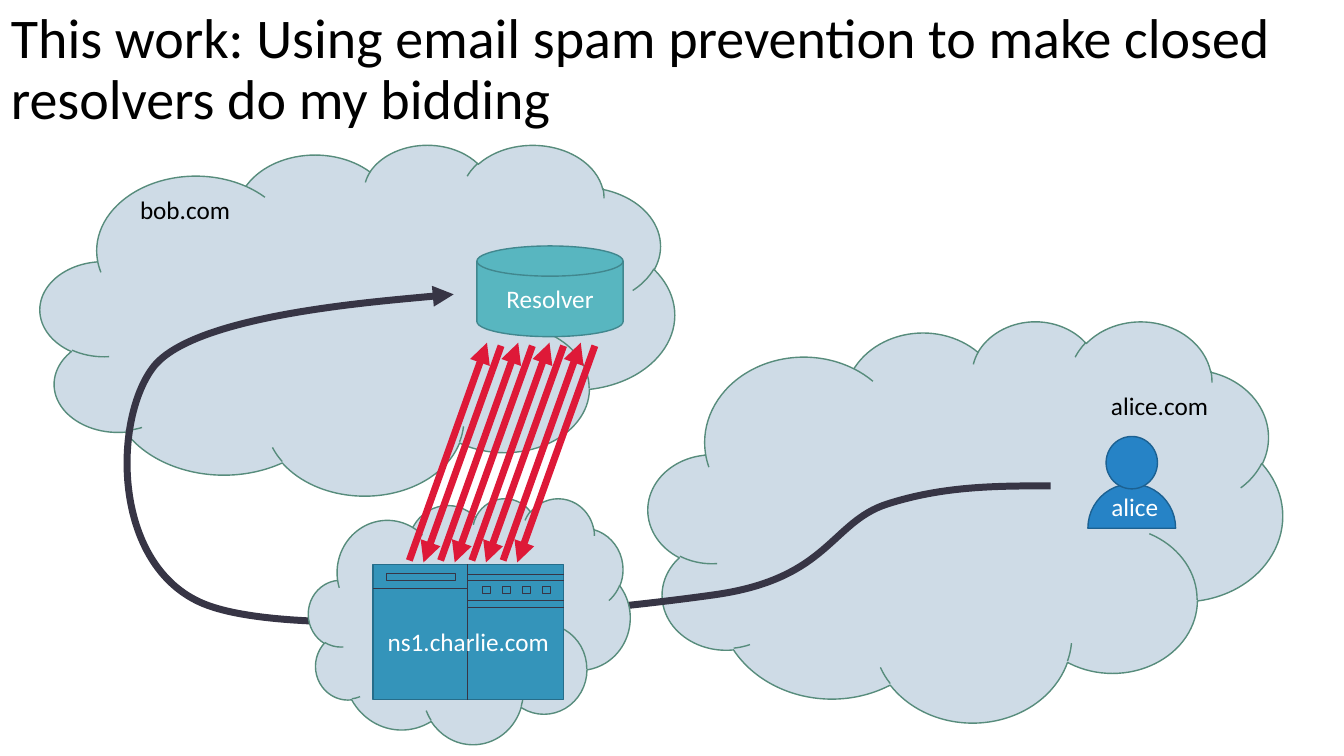
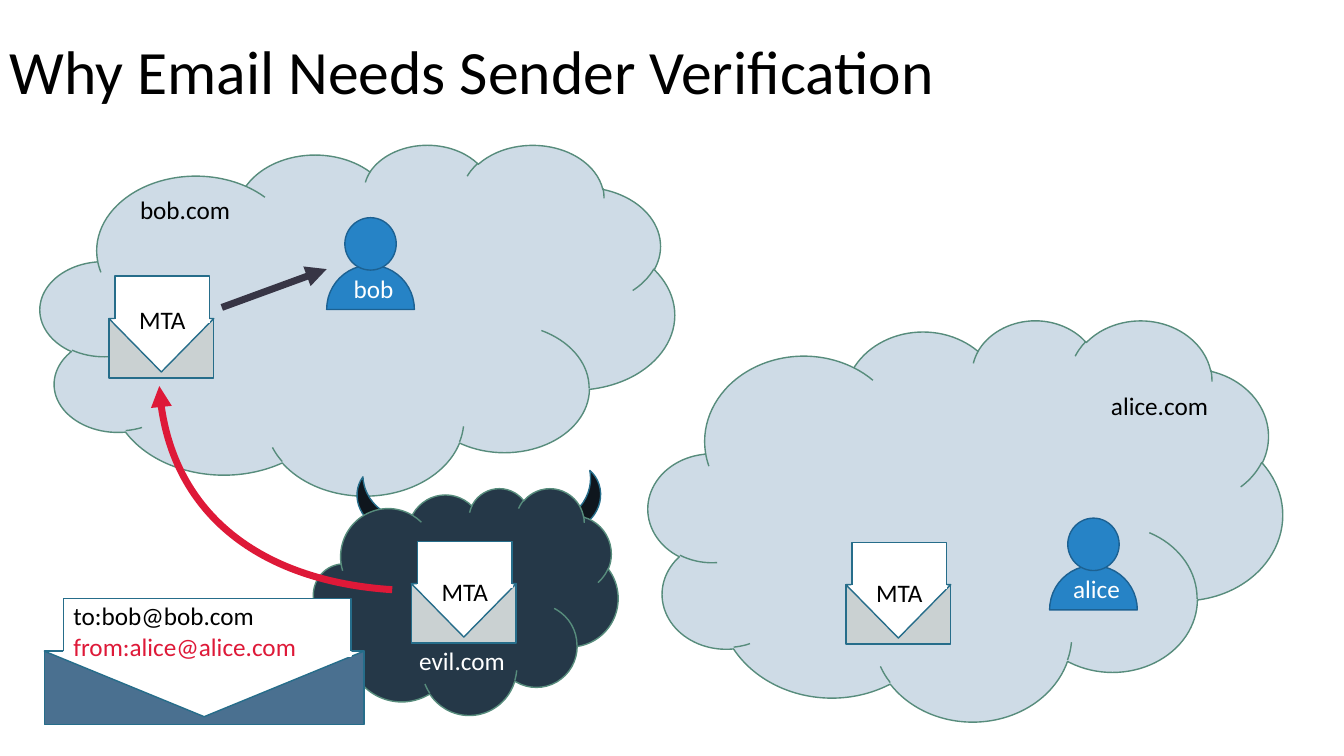
from itertools import cycle

from lxml.etree import SubElement
from pptx import Presentation
from pptx.dml.color import RGBColor
from pptx.enum.shapes import MSO_CONNECTOR, MSO_SHAPE
from pptx.enum.text import MSO_ANCHOR, PP_ALIGN
from pptx.oxml.ns import qn
from pptx.util import Emu, Pt

PX = 9144
FONT = "Calibri"
COLORS = {
    "black": "000000",
    "white": "FFFFFF",
    "cloud": "CEDBE6",
    "cloud_edge": "578C7C",
    "evil": "253848",
    "horn": "0F161D",
    "edge": "266D8A",
    "person": "2683C6",
    "person_edge": "1C6192",
    "resolver": "58B6C0",
    "resolver_edge": "41878E",
    "server": "3494BA",
    "ink": "373545",
    "attack": "DE1938",
    "mail": "CAD1D2",
    "forged": "4A7090",
}


def rgb(name):
    return RGBColor.from_string(COLORS[name])


def px(*lengths):
    return [Emu(round(length) * PX) for length in lengths]


def write(frame, text, size=18, colors=("black",), align=PP_ALIGN.LEFT,
          anchor=MSO_ANCHOR.TOP, wrap=True, spacing=None):
    frame.word_wrap = wrap
    frame.vertical_anchor = anchor
    for number, (words, color) in enumerate(zip(text.split("\n"), cycle(colors))):
        paragraph = frame.add_paragraph() if number else frame.paragraphs[0]
        paragraph.alignment = align
        if spacing:
            paragraph.line_spacing = spacing
        run = paragraph.add_run()
        run.text = words
        run.font.name = FONT
        run.font.size = Pt(size)
        run.font.color.rgb = rgb(color)


class Deck:
    def __init__(self):
        self.presentation = Presentation()
        self.presentation.slide_width, self.presentation.slide_height = px(1333, 750)

    def new_slide(self):
        self.slide = self.presentation.slides.add_slide(
            self.presentation.slide_layouts[6])
        self.ungroup()

    def group(self):
        self.shapes = self.slide.shapes.add_group_shape().shapes

    def ungroup(self):
        self.shapes = self.slide.shapes

    def text(self, x, y, w, h, words, **style):
        write(self.shapes.add_textbox(*px(x, y, w, h)).text_frame, words, **style)

    def title(self, x, y, w, words, size):
        self.text(x, y, w, 145, words, size=size, anchor=MSO_ANCHOR.MIDDLE, spacing=0.9)

    def stroke(self, shape, color, width, arrow=False):
        shape.line.color.rgb = rgb(color)
        shape.line.width = Pt(width)
        if arrow:
            SubElement(shape.element.spPr.find(qn("a:ln")), qn("a:tailEnd"), type="triangle")

    def shape(self, kind, x, y, w, h, fill, edge, width=1, turn=0):
        figure = self.shapes.add_shape(kind, *px(x, y, w, h))
        figure.shadow.inherit = False
        figure.rotation = turn
        figure.fill.solid()
        figure.fill.fore_color.rgb = rgb(fill)
        self.stroke(figure, edge, width)
        return figure

    def line(self, start, end, color="ink", width=0.5, arrow=False):
        connector = self.shapes.add_connector(MSO_CONNECTOR.STRAIGHT, *px(*start, *end))
        self.stroke(connector, color, width, arrow)
        SubElement(connector.element.spPr, qn("a:effectLst"))

    def curve(self, start, controls, color):
        builder = self.shapes.build_freeform(*start, scale=PX)
        builder.add_line_segments(controls, close=False)
        route = builder.convert_to_shape()
        route.shadow.inherit = False
        route.fill.background()
        self.stroke(route, color, 5, arrow=True)
        legs = list(route.element.iter(qn("a:lnTo")))
        outline = legs[0].getparent()
        for first in range(0, len(legs), 3):
            bend = SubElement(outline, qn("a:cubicBezTo"))
            for leg in legs[first:first + 3]:
                bend.append(leg[0])
                outline.remove(leg)

    def cloud(self, x, y, w, h, fill="cloud"):
        self.shape(MSO_SHAPE.CLOUD, x, y, w, h, fill, "cloud_edge")

    def bob_domain(self):
        self.cloud(40, 143, 629, 348)
        self.text(129, 188, 168, 40, "bob.com")

    def alice_domain(self, top):
        self.cloud(643, top, 629, 398)
        self.text(1092, 382, 168, 40, "alice.com")

    def person(self, x, y, name):
        self.group()
        body = self.shape(MSO_SHAPE.PIE, x, y, 87, 88, "person", "person_edge", turn=180)
        body.adjustments[0] = 0
        body.adjustments[1] = 108
        self.shape(MSO_SHAPE.OVAL, x + 18, y - 47, 51, 52, "person", "person_edge")
        self.text(x - 5, y + 3, 103, 40, name, colors=("white",), align=PP_ALIGN.CENTER)
        self.ungroup()

    def envelope(self, x, y, w, h, fill, words, text_top, **style):
        left, letter_w = x + 0.06 * w, 0.9 * w
        self.group()
        self.shape(MSO_SHAPE.RECTANGLE, x, y, w, h, fill, "edge")
        self.shape(MSO_SHAPE.ISOSCELES_TRIANGLE, x, y, w, 0.89 * h, "white", "edge", turn=180)
        self.shape(MSO_SHAPE.RECTANGLE, left, y - 0.71 * h, letter_w, 0.75 * h, "white", "edge")
        self.shape(MSO_SHAPE.RECTANGLE, left, y + 1, letter_w, 0.05 * h, "white", "white")
        self.text(left, text_top, letter_w, 40, words, **style)
        self.ungroup()

    def mail_agent(self, x, y, text_top):
        self.envelope(x, y, 104, 59, "mail", "MTA", text_top, align=PP_ALIGN.CENTER)

    def server(self, name):
        left, middle, right, top, bottom = 370, 464, 559, 560, 694
        self.group()
        self.shape(MSO_SHAPE.RECTANGLE, left, top, right - left, bottom - top, "server", "edge")
        self.line((middle, top), (middle, bottom))
        self.line((left, 584), (middle, 584))
        for shelf in (570, 576, 596, 603):
            self.line((middle, shelf), (right, shelf))
        self.shape(MSO_SHAPE.RECTANGLE, 383, 569, 69, 7, "server", "ink", 0.5)
        for button in range(478, 540, 20):
            self.shape(MSO_SHAPE.RECTANGLE, button, 582, 8, 7, "server", "ink", 0.5)
        self.text(left, 616, right - left, 40, name, colors=("white",), align=PP_ALIGN.CENTER)
        self.ungroup()


def resolver_slide(deck):
    deck.new_slide()
    deck.bob_domain()
    deck.title(1, -2, 1336, "This work: Using email spam prevention to make closed "
               "resolvers do my bidding", 40)
    deck.alice_domain(318)
    deck.person(1079, 480, "alice")
    deck.curve((1042, 482), [
        (989, 482), (936, 482), (880, 500),
        (824, 518), (822, 574), (709, 590),
        (596, 606), (295, 637), (202, 599),
        (110, 561), (112, 414), (153, 363),
        (195, 312), (450, 292), (450, 292)], "ink")
    resolver = deck.shape(MSO_SHAPE.FLOWCHART_MAGNETIC_DISK, 473, 244, 145, 90,
                          "resolver", "resolver_edge")
    write(resolver.text_frame, "Resolver", colors=("white",), align=PP_ALIGN.CENTER,
          anchor=MSO_ANCHOR.MIDDLE)
    deck.cloud(306, 494, 319, 244)
    for shift in range(93, -1, -31):
        deck.line((497 + shift, 343), (420 + shift, 558), "attack", 5, arrow=True)
        deck.line((406 + shift, 556), (483 + shift, 340), "attack", 5, arrow=True)
    deck.server("ns1.charlie.com")


def verification_slide(deck):
    deck.new_slide()
    deck.title(0, 1, 1150, "Why Email Needs Sender Verification", 44)
    deck.bob_domain()
    deck.alice_domain(317)
    for x, y, turn in ((362, 472, 306.1), (559, 469, 220.6)):
        deck.shape(MSO_SHAPE.MOON, x, y, 32, 68, "horn", "edge", turn=turn)
    deck.cloud(311, 484, 302, 225, "evil")
    deck.text(406, 635, 106, 40, "evil.com", colors=("white",), wrap=False)
    deck.curve((389, 585), [(264, 577), (165, 508), (158, 383)], "attack")
    deck.person(324, 263, "bob")
    deck.line((220, 305), (324, 267), "ink", 5, arrow=True)
    deck.mail_agent(108, 316, 297)
    deck.mail_agent(408, 579, 567)
    deck.envelope(44, 646, 317, 73, "forged", "to:bob@bob.com\nfrom:alice@alice.com", 591,
                  colors=("black", "attack"))
    deck.person(1041, 561, "alice")
    deck.mail_agent(839, 580, 568)


def main():
    deck = Deck()
    resolver_slide(deck)
    verification_slide(deck)
    deck.presentation.save("out.pptx")


if __name__ == "__main__":
    main()
